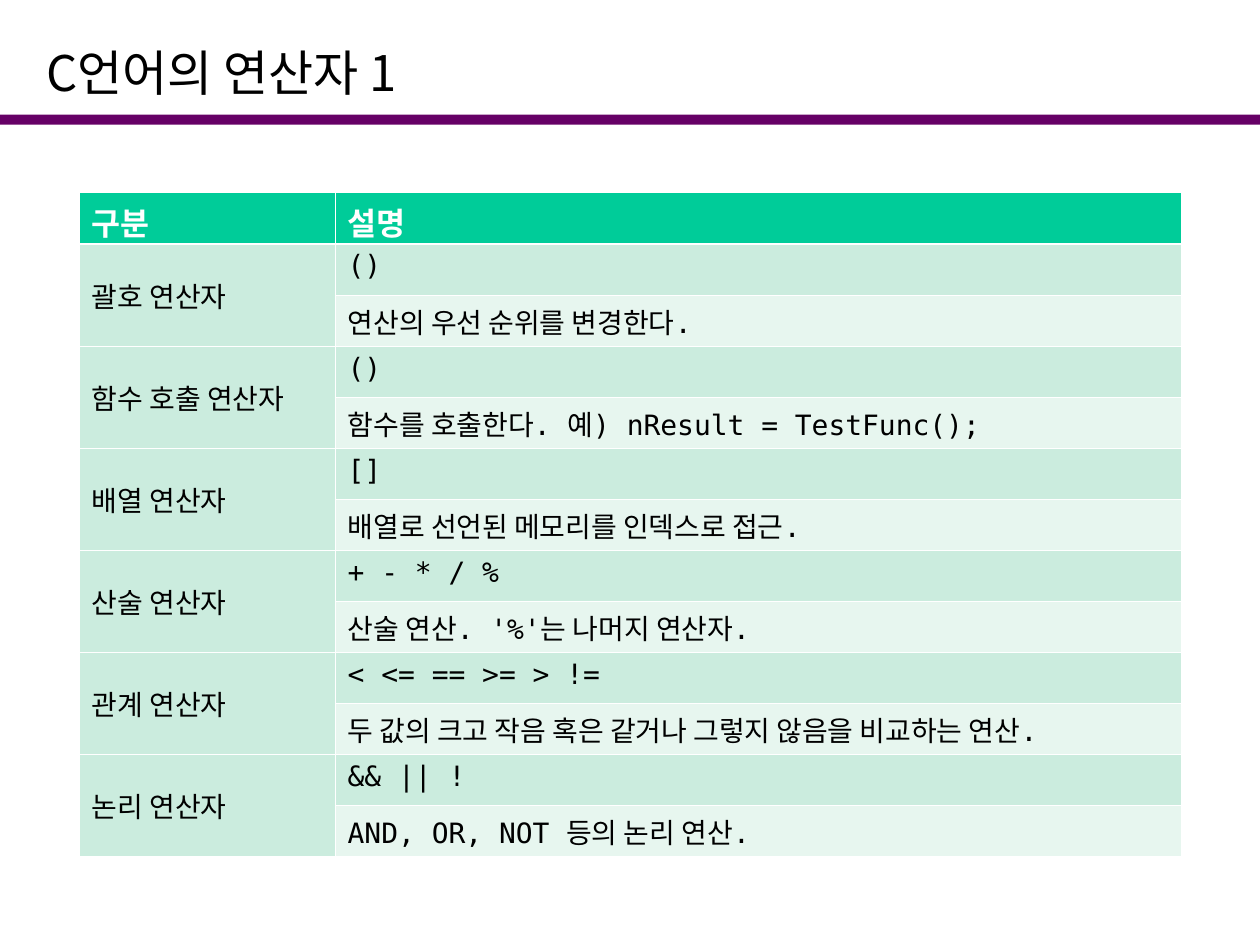
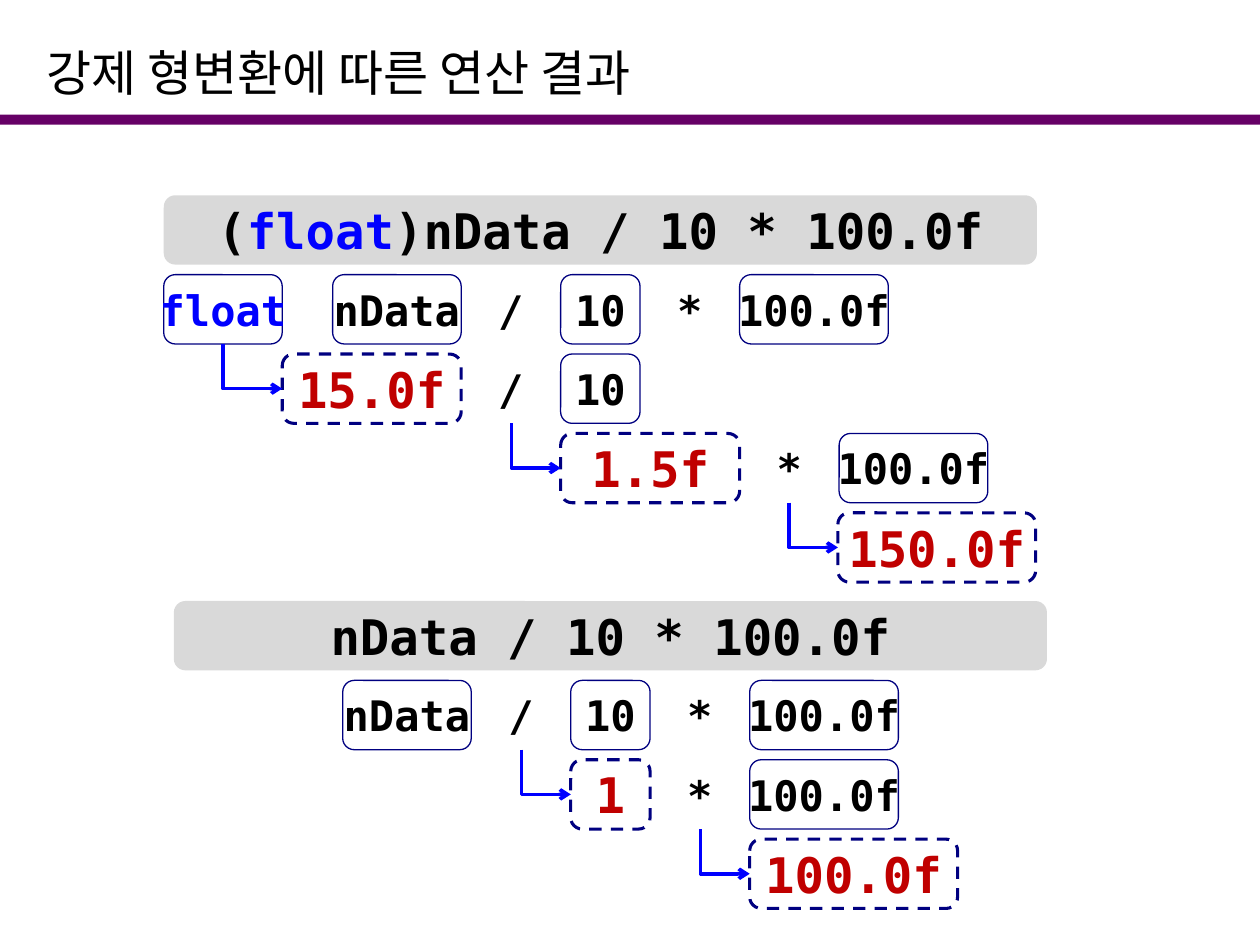
from lxml.etree import SubElement as Sub
from pptx import Presentation
from pptx.dml.color import RGBColor as RGB
from pptx.enum.dml import MSO_LINE as Dash
from pptx.enum.shapes import MSO_CONNECTOR as Link, MSO_SHAPE as Kind
from pptx.enum.text import MSO_ANCHOR as Anchor, PP_ALIGN as Align
from pptx.oxml.ns import qn
from pptx.util import Inches, Pt

COLORS = {
    "band": "660066", "black": "000000", "white": "FFFFFF",
    "head": "00CC99", "dark": "CBECDE", "light": "E7F6EF",
    "gray": "D9D9D9", "navy": "000080", "blue": "0000FF", "red": "C00000",
}
MONO, HANGUL = "DejaVu Sans Mono", "Noto Sans CJK KR"

# Operator name, symbols, meaning
TERMS = [
    ("괄호 연산자", "()", "연산의 우선 순위를 변경한다."),
    ("함수 호출 연산자", "()", "함수를 호출한다. 예) nResult = TestFunc();"),
    ("배열 연산자", "[]", "배열로 선언된 메모리를 인덱스로 접근."),
    ("산술 연산자", "+ - * / %", "산술 연산. '%'는 나머지 연산자."),
    ("관계 연산자", "< <= == >= > !=",
     "두 값의 크고 작음 혹은 같거나 그렇지 않음을 비교하는 연산."),
    ("논리 연산자", "&& || !", "AND, OR, NOT 등의 논리 연산."),
]

# Evaluation grid: box widths by text, box height, gap between boxes
WIDTHS = {"float": 0.94, "nData": 1.02, "100.0f": 1.18}
SMALL, HIGH, GAP = 0.63, 0.55, 0.08

# Line, first left edge, plain terms
CAST_TERMS = [
    (1, 0, ["float"]),
    (1, 1.34, ["nData", "/", "10", "*", "100.0f"]),
    (2, 2.44, ["/", "10"]),
    (3, 4.65, ["*", "100.0f"]),
]
# Line, left edge, width, text, reach of the arrow that leads in
CAST_RESULTS = [
    (2, 0.94, 1.42, "15.0f", 0.47),
    (3, 3.15, 1.42, "1.5f", 0.39),
    (4, 5.35, 1.57, "150.0f", 0.39),
]
PLAIN_TERMS = [
    (1, 1.34, ["nData", "/", "10", "*", "100.0f"]),
    (2, 3.86, ["*", "100.0f"]),
]
PLAIN_RESULTS = [
    (2, 3.15, SMALL, "1", 0.39),
    (3, 4.57, 1.65, "100.0f", 0.39),
]


def rgb(name):
    return RGB.from_string(COLORS[name])


def style(run, size, color, bold=False, face=MONO):
    font = run.font
    font.size, font.bold, font.name = Pt(size), bold, face
    font.color.rgb = rgb(color)
    Sub(run._r.get_or_add_rPr(), qn("a:ea"), typeface=HANGUL)


def add_box(slide, kind, x, y, w, h, fill):
    box = slide.shapes.add_shape(kind, Inches(x), Inches(y), Inches(w), Inches(h))
    box.shadow.inherit = False
    box.fill.solid()
    box.fill.fore_color.rgb = rgb(fill)
    box.line.fill.background()
    return box


# Title and band shared by all slides
def add_page(deck, title):
    slide = deck.slides.add_slide(deck.slide_layouts[6])
    add_box(slide, Kind.RECTANGLE, 0, 0.91, 10, 0.08, "band")
    box = slide.shapes.add_textbox(Inches(0.27), Inches(0.28), Inches(8.98), Inches(0.58))
    frame = box.text_frame
    frame.word_wrap = True
    frame.vertical_anchor = Anchor.MIDDLE
    frame.text = title
    style(frame.paragraphs[0].runs[0], 28, "black", face=HANGUL)
    return slide


# Table of operators
def set_cell(cell, text, fill, size=16, color="black", bold=False, top=0.45, foot=0.45):
    props = cell._tc.get_or_add_tcPr()
    for side, width in zip("LRTB", (0.45, 0.45, top, foot)):
        edge = Sub(props, qn("a:ln" + side), w=str(Pt(width)))
        Sub(Sub(edge, qn("a:solidFill")), qn("a:srgbClr"), val=COLORS["white"])
    cell.fill.solid()
    cell.fill.fore_color.rgb = rgb(fill)
    cell.text = text
    for run in cell.text_frame.paragraphs[0].runs:
        style(run, size, color, bold)


def add_terms(slide, x, y, w, h):
    count = 1 + 2 * len(TERMS)
    table = slide.shapes.add_table(
        count, 2, Inches(x), Inches(y), Inches(w), Inches(h)).table
    table.columns[0].width = Inches(2.03)
    table.columns[1].width = Inches(w - 2.03)
    for row in table.rows:
        row.height = Inches(h / count)
    for col, text in enumerate(("구분", "설명")):
        cell = table.cell(0, col)
        set_cell(cell, text, "head", 18, "white", True, foot=1.47)
        cell.vertical_anchor = Anchor.MIDDLE
    for i, (name, signs, sense) in enumerate(TERMS):
        row = 1 + 2 * i
        top = 0.45 if i else 1.47
        first, below = table.cell(row, 0), table.cell(row + 1, 0)
        first.merge(below)
        set_cell(first, name, "dark", top=top)
        set_cell(below, "", "dark")
        first.vertical_anchor = Anchor.MIDDLE
        set_cell(table.cell(row, 1), signs, "dark", top=top)
        set_cell(table.cell(row + 1, 1), sense, "light")


# Evaluation of an expression, line by line
def add_term(slide, x, y, w, parts, size=24, fill="white", edge=None, dash=False):
    box = add_box(slide, Kind.ROUNDED_RECTANGLE, x, y, w, HIGH, fill)
    if edge:
        box.line.color.rgb = rgb(edge)
        box.line.width = Pt(1.75 if dash else 0.75)
    if dash:
        box.line.dash_style = Dash.DASH
    frame = box.text_frame
    frame.word_wrap = False
    frame.vertical_anchor = Anchor.MIDDLE
    para = frame.paragraphs[0]
    para.alignment = Align.CENTER
    for text, color in parts:
        run = para.add_run()
        run.text = text
        style(run, size, color, bold=True)


def add_arrow(slide, x, y, w, h):
    # Down, then right: a one-bend connector, mirrored and turned about its centre
    mid_x, mid_y = x + w / 2, y + h / 2
    line = slide.shapes.add_connector(
        Link.ELBOW, Inches(mid_x - h / 2), Inches(mid_y - w / 2),
        Inches(mid_x + h / 2), Inches(mid_y + w / 2))
    line.line.color.rgb = rgb("blue")
    line.line.width = Pt(2)
    props = line._element.spPr
    frame = props.find(qn("a:xfrm"))
    frame.set("rot", str(270 * 60000))
    frame.set("flipH", "1")
    props.find(qn("a:prstGeom")).set("prst", "bentConnector2")
    Sub(props.find(qn("a:ln")), qn("a:tailEnd"), type="arrow")
    Sub(props, qn("a:effectLst"))


def add_steps(slide, x, y, head, terms, results):
    pitch = HIGH + GAP
    add_term(slide, x, y, 6.93, head, 28, "gray")
    for line, left, texts in terms:
        for text in texts:
            width = WIDTHS.get(text, SMALL)
            color = "blue" if text == "float" else "black"
            edge = None if text in "/*" else "navy"
            add_term(slide, x + left, y + line * pitch, width, [(text, color)], edge=edge)
            left += width + GAP
    for line, left, width, text, reach in results:
        top = y + line * pitch
        add_term(slide, x + left, top, width, [(text, "red")], 28, edge="navy", dash=True)
        add_arrow(slide, x + left - reach, top - GAP, reach, GAP + HIGH / 2)


def main():
    deck = Presentation()
    deck.slide_width, deck.slide_height = Inches(10), Inches(7.5)

    slide = add_page(deck, "C언어의 연산자 1")
    add_terms(slide, 0.63, 1.53, 8.75, 5.27)

    slide = add_page(deck, "강제 형변환에 따른 연산 결과")
    cast = [("(", "black"), ("float", "blue"), (")nData / 10 * 100.0f", "black")]
    add_steps(slide, 1.3, 1.55, cast, CAST_TERMS, CAST_RESULTS)
    plain = [("nData / 10 * 100.0f", "black")]
    add_steps(slide, 1.38, 4.77, plain, PLAIN_TERMS, PLAIN_RESULTS)

    deck.save("out.pptx")


if __name__ == "__main__":
    main()
